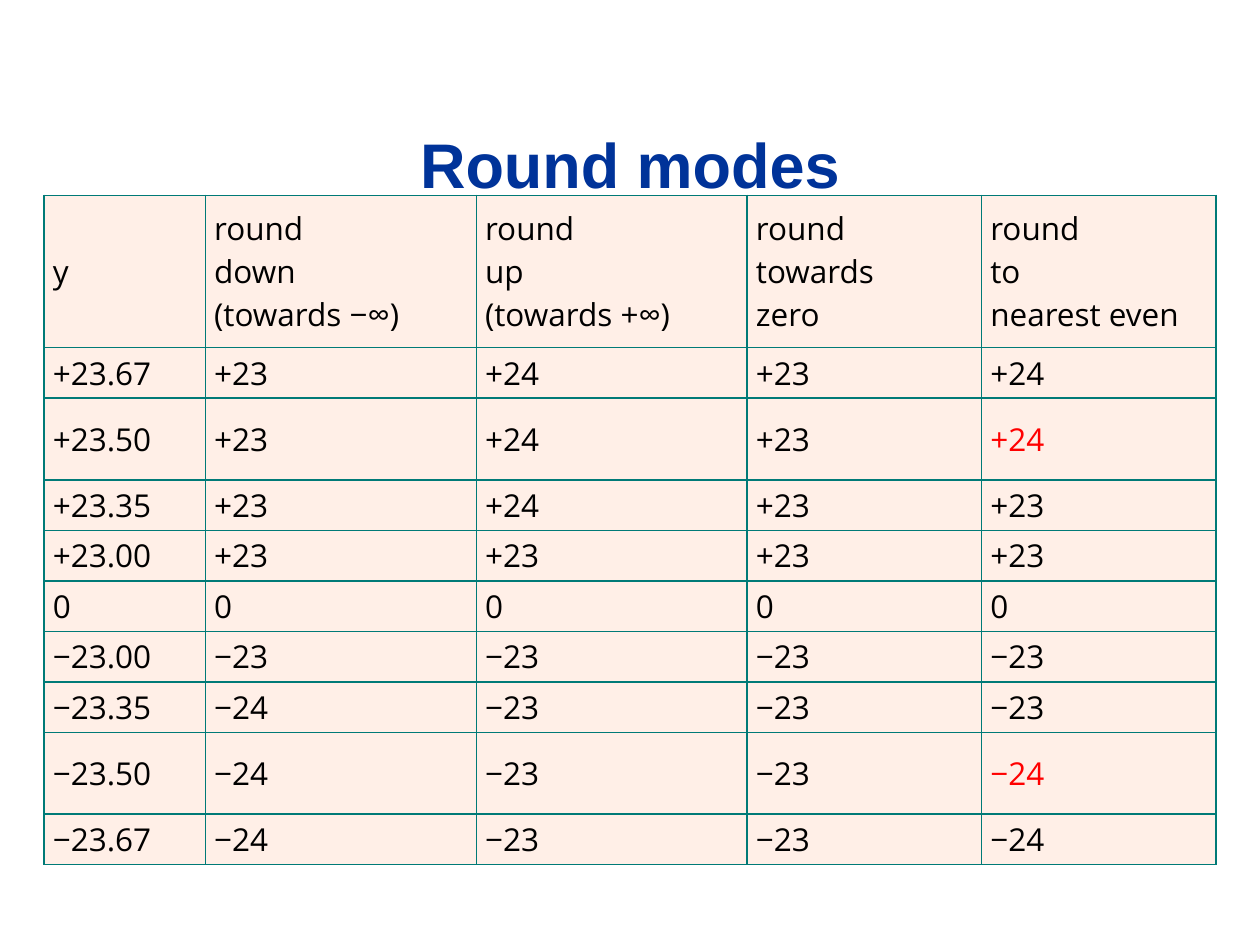
from math import ceil, floor, trunc

from lxml.etree import SubElement
from pptx import Presentation
from pptx.dml.color import RGBColor
from pptx.enum.text import MSO_ANCHOR, PP_ALIGN
from pptx.oxml.ns import qn
from pptx.util import Inches, Pt

HEADS = [
    "y",
    "round\ndown\n(towards −∞)",
    "round\nup\n(towards +∞)",
    "round\ntowards\nzero",
    "round\nto\nnearest even",
]
MODES = [floor, ceil, trunc, round]
VALUES = [23.67, 23.5, 23.35, 23, 0, -23, -23.35, -23.5, -23.67]
WIDTHS = [1.28, 2.15, 2.15, 1.86, 1.86]


def color(code):
    return RGBColor.from_string(code)


def signed(num, form="+d"):
    return format(num, form).replace("-", "−") if num else "0"


def is_half(num):
    return abs(num) % 1 == 0.5


class Deck:
    """Holds the style and the current slide, and adds elements to it."""

    head_font, body_font = "Arial", "Open Sans"
    blue, black, red = "003399", "000000", "FF0000"
    fill, edge = "FFEFE7", "007A77"

    def __init__(self):
        self.show = Presentation()
        self.show.slide_width, self.show.slide_height = Inches(10), Inches(7.5)
        self.slide = self.show.slides.add_slide(self.show.slide_layouts[5])

    def style(self, para, name, size, code, bold=False):
        font = para.font
        font.name, font.size, font.bold = name, Pt(size), bold
        font.color.rgb = color(code)

    def title(self, text, left, top, width, height):
        shape = self.slide.shapes.title
        shape.left, shape.top = Inches(left), Inches(top)
        shape.width, shape.height = Inches(width), Inches(height)
        frame = shape.text_frame
        frame.text, frame.vertical_anchor = text, MSO_ANCHOR.MIDDLE
        para = frame.paragraphs[0]
        para.alignment = PP_ALIGN.CENTER
        self.style(para, self.head_font, 36, self.blue, True)

    def border(self, cell):
        props = cell._tc.get_or_add_tcPr()
        for side in ("lnL", "lnR", "lnT", "lnB"):
            line = SubElement(props, qn(f"a:{side}"), w=str(Pt(1)))
            paint = SubElement(line, qn("a:solidFill"))
            SubElement(paint, qn("a:srgbClr"), val=self.edge)

    def cell(self, cell, text, code):
        self.border(cell)
        cell.fill.solid()
        cell.fill.fore_color.rgb = color(self.fill)
        cell.vertical_anchor = MSO_ANCHOR.MIDDLE
        cell.margin_left = cell.margin_right = Inches(0.07)
        cell.margin_top = cell.margin_bottom = Inches(0.03)
        para = cell.text_frame.paragraphs[0]
        para.text = text
        self.style(para, self.body_font, 18, code)

    def table(self, rows, left, top, widths, heights, marks):
        table = self.slide.shapes.add_table(
            len(rows), len(widths), Inches(left), Inches(top),
            Inches(sum(widths)), Inches(sum(heights)),
        ).table
        table.first_row = table.horz_banding = False
        for col, width in zip(table.columns, widths):
            col.width = Inches(width)
        for r, (texts, height) in enumerate(zip(rows, heights)):
            table.rows[r].height = Inches(height)
            for c, text in enumerate(texts):
                code = self.red if (r, c) in marks else self.black
                self.cell(table.cell(r, c), text, code)


def main():
    deck = Deck()
    deck.title("Round modes", 0.33, 0.67, 9.34, 1.25)
    rows = [HEADS] + [
        [signed(num, "+.2f")] + [signed(mode(num)) for mode in MODES]
        for num in VALUES
    ]
    heights = [1.21] + [0.65 if is_half(num) else 0.37 for num in VALUES]
    marks = {(r, len(MODES)) for r, num in enumerate(VALUES, 1) if is_half(num)}
    deck.table(rows, 0.35, 1.55, WIDTHS, heights, marks)
    deck.show.save("out.pptx")


if __name__ == "__main__":
    main()
